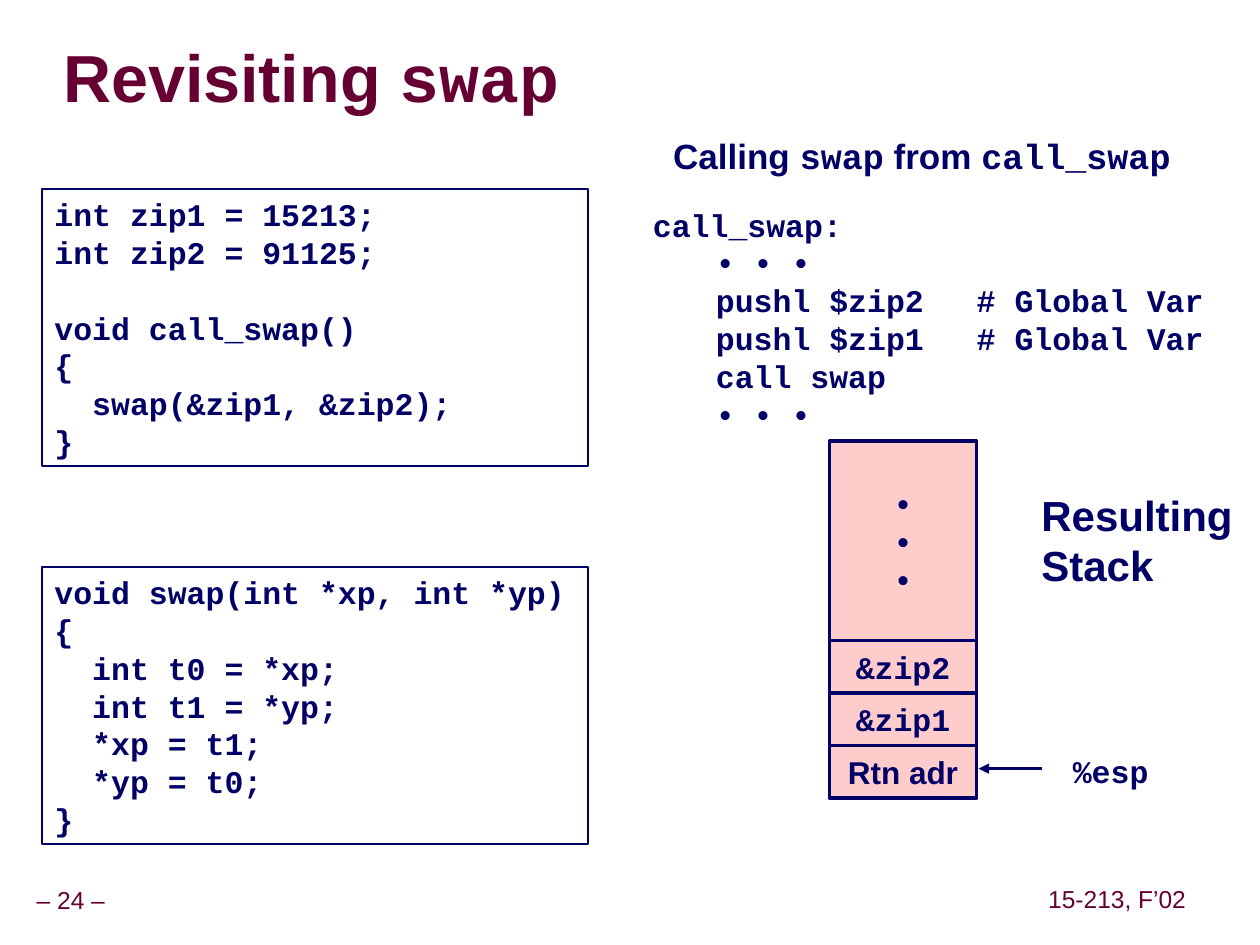
from dataclasses import dataclass

from lxml import etree
from pptx import Presentation
from pptx.dml.color import RGBColor
from pptx.enum.shapes import MSO_CONNECTOR, MSO_SHAPE
from pptx.enum.text import MSO_ANCHOR, MSO_AUTO_SIZE, PP_ALIGN
from pptx.oxml.ns import qn
from pptx.util import Inches, Pt

LEFT, CENTER = PP_ALIGN.LEFT, PP_ALIGN.CENTER
TOP, MIDDLE = MSO_ANCHOR.TOP, MSO_ANCHOR.MIDDLE
NO_FIT = MSO_AUTO_SIZE.NONE
RECTANGLE, STRAIGHT = MSO_SHAPE.RECTANGLE, MSO_CONNECTOR.STRAIGHT
TITLE_ONLY = 5


@dataclass(frozen=True)
class Theme:
    ink: RGBColor = RGBColor(0x00, 0x00, 0x66)
    accent: RGBColor = RGBColor(0x66, 0x00, 0x33)
    cell: RGBColor = RGBColor(0xFF, 0xCC, 0xCC)
    title_shadow: str = "969696"
    sans: str = "Arial"
    mono: str = "Courier New"
    title: int = 38
    label: int = 24
    heading: int = 20
    body: int = 18
    footer: int = 14


THEME = Theme()

SWAP_CODE = """void swap(int *xp, int *yp)
{
  int t0 = *xp;
  int t1 = *yp;
  *xp = t1;
  *yp = t0;
}"""

CALLER_CODE = """int zip1 = 15213;
int zip2 = 91125;

void call_swap()
{
  swap(&zip1, &zip2);
}"""

ASSEMBLY = """call_swap:
\t• • •
\tpushl $zip2\t# Global Var
\tpushl $zip1\t# Global Var
\tcall swap
\t• • •"""


def grid(*units):
    """Lengths on a grid of 120 columns by 90 rows, twelve to the inch."""
    return [Inches(unit / 12) for unit in units]


def format_span(span, size, font, color, bold=True):
    span.font.size = Pt(size)
    span.font.name = font
    span.font.color.rgb = color
    span.font.bold = bold


def set_frame(frame, anchor=TOP, inset_x=0.1, inset_y=0.05, wrap=False):
    frame.auto_size = NO_FIT
    frame.word_wrap = wrap
    frame.vertical_anchor = anchor
    frame.margin_left = frame.margin_right = Inches(inset_x)
    frame.margin_top = frame.margin_bottom = Inches(inset_y)


def write(frame, text, size=THEME.body, font=THEME.mono, color=THEME.ink,
          bold=True, align=LEFT, spacing=None):
    frame.text = text
    for para in frame.paragraphs:
        para.alignment = align
        para.line_spacing = spacing
        for span in para.runs:
            format_span(span, size, font, color, bold)


def write_mixed(para, pieces, size, color):
    """Alternate sans and mono pieces, starting with sans."""
    for index, piece in enumerate(pieces):
        span = para.add_run()
        span.text = piece
        format_span(span, size, THEME.mono if index % 2 else THEME.sans, color)


def add_text(page, place, text, anchor=TOP, inset_x=0.1, **style):
    box = page.shapes.add_textbox(*grid(*place))
    set_frame(box.text_frame, anchor, inset_x)
    write(box.text_frame, text, **style)
    return box


def add_box(page, place, text, line_width, fill=None, anchor=TOP, **style):
    box = page.shapes.add_shape(RECTANGLE, *grid(*place))
    box.shadow.inherit = False
    if fill is None:
        box.fill.background()
    else:
        box.fill.solid()
        box.fill.fore_color.rgb = fill
    box.line.color.rgb = THEME.ink
    box.line.width = Pt(line_width)
    set_frame(box.text_frame, anchor)
    write(box.text_frame, text, **style)


def add_tab_stops(para, stops):
    tab_list = etree.SubElement(para._p.get_or_add_pPr(), qn("a:tabLst"))
    for stop in stops:
        etree.SubElement(tab_list, qn("a:tab"), pos=str(Inches(stop)), algn="l")


def add_arrow(page, start, end):
    arrow = page.shapes.add_connector(STRAIGHT, *grid(*start, *end))
    arrow.line.color.rgb = THEME.ink
    arrow.line.width = Pt(2)
    etree.SubElement(arrow.line._get_or_add_ln(), qn("a:tailEnd"), type="triangle")
    etree.SubElement(arrow._element.spPr, qn("a:effectLst"))


def add_span_shadow(span):
    effects = etree.Element(qn("a:effectLst"))
    shadow = etree.SubElement(effects, qn("a:outerShdw"), dist=str(Pt(3)), dir="2700000")
    etree.SubElement(shadow, qn("a:srgbClr"), val=THEME.title_shadow)
    span.font.fill._xPr.find(qn("a:solidFill")).addnext(effects)


def set_title(page):
    title = page.shapes.title
    title.left, title.top, title.width, title.height = grid(6, 4, 77, 7.5)
    set_frame(title.text_frame, MIDDLE, 0, 0, wrap=True)
    para = title.text_frame.paragraphs[0]
    para.alignment, para.line_spacing = LEFT, 0.87
    write_mixed(para, ["Revisiting ", "swap"], THEME.title, THEME.accent)
    for span in para.runs:
        add_span_shadow(span)


def add_assembly(page):
    heading = add_text(page, (63.5, 12.7, 48.6, 4.8), "", inset_x=0.05)
    para = heading.text_frame.paragraphs[0]
    para.alignment, para.line_spacing = CENTER, 0.9
    write_mixed(para, ["Calling ", "swap", " from ", "call_swap"], THEME.heading, THEME.ink)

    listing = add_text(page, (61, 19, 56, 22.8), ASSEMBLY)
    for para in listing.text_frame.paragraphs:
        add_tab_stops(para, (0.5, 2.57))


def add_stack(page):
    # Cells from top to bottom: text, rows, font
    cells = [("•\n•\n•", 19, THEME.sans), ("&zip2", 5, THEME.mono),
             ("&zip1", 5, THEME.mono), ("Rtn adr", 5, THEME.sans)]
    top = 42
    for text, rows, font in cells:
        add_box(page, (79, top, 14, rows), text, 2, THEME.cell, MIDDLE,
                font=font, align=CENTER)
        top += rows

    # Stack pointer and caption
    add_arrow(page, (99.2, 73.2), (93.2, 73.2))
    add_text(page, (101, 71, 9.6, 4.8), "%esp")
    add_text(page, (98, 46, 20.6, 10.8), "Resulting\nStack", size=THEME.label, font=THEME.sans)


def add_footer(page):
    for place, text in [((-1.1, 84, 15.7, 3.7), "– 24 –"),
                        ((99.2, 83.9, 14.4, 3.7), "15-213, F’02")]:
        add_text(page, place, text, MIDDLE, 0.05, size=THEME.footer, font=THEME.sans,
                 color=THEME.accent, bold=False, align=CENTER, spacing=0.9)


def main():
    deck = Presentation()
    deck.slide_width, deck.slide_height = grid(120, 90)
    page = deck.slides.add_slide(deck.slide_layouts[TITLE_ONLY])
    set_title(page)
    # C source on the left
    for top, code in [(18, CALLER_CODE), (54, SWAP_CODE)]:
        add_box(page, (4, top, 52, 26.4), code, 1)
    # Assembly and stack on the right
    add_assembly(page)
    add_stack(page)
    add_footer(page)
    deck.save("out.pptx")


if __name__ == "__main__":
    main()
